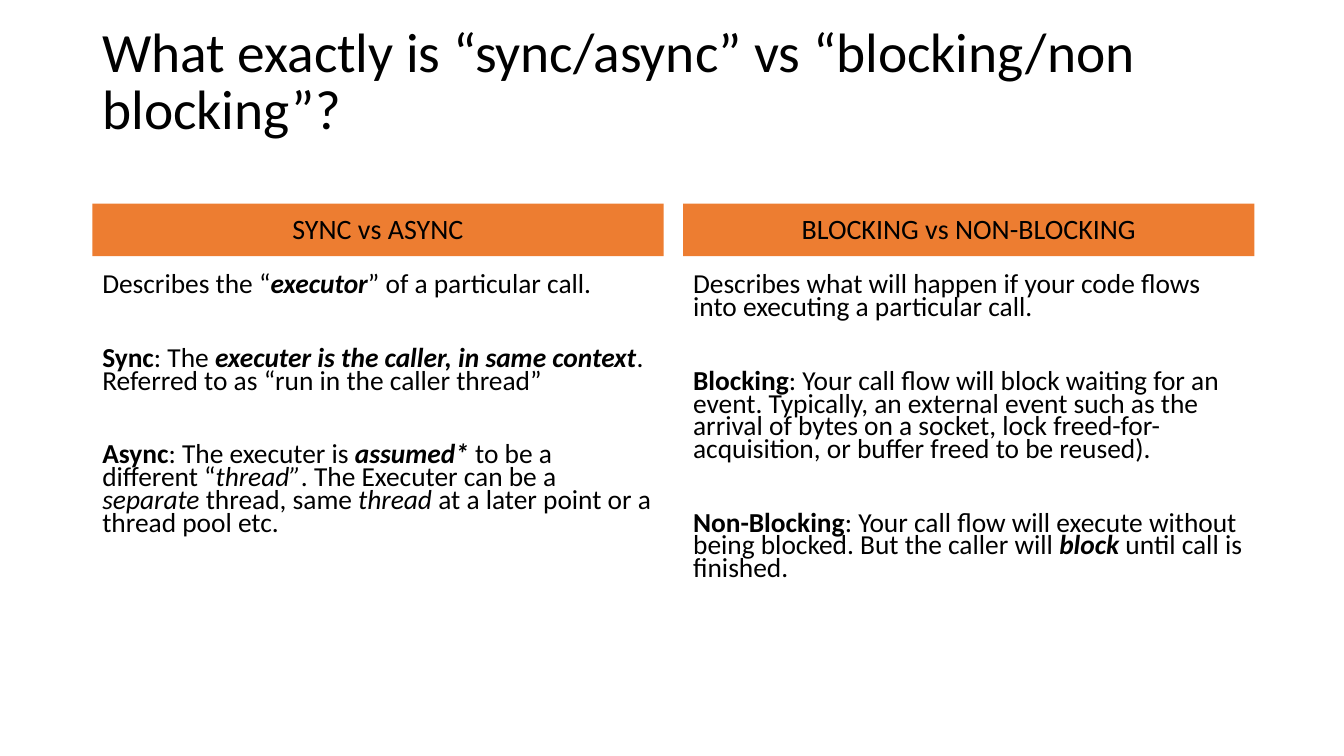
from dataclasses import dataclass

from pptx import Presentation
from pptx.dml.color import RGBColor
from pptx.enum.shapes import MSO_SHAPE
from pptx.enum.text import MSO_ANCHOR, PP_ALIGN
from pptx.shapes.autoshape import Shape
from pptx.slide import Slide
from pptx.util import Pt

COLORS = {"text": "000000", "header": "ED7D31"}
LEFT, COL_W, GAP = 66, 408, 14
HEADER_TOP, HEADER_H = 145.5, 37.5
BODY_TOP, BODY_H = 193.5, 238

# Paragraph and font formats
TITLE = {"para": {"line_spacing": 0.86}, "size": 39.6}
HEADER = {"para": {"line_spacing": 0.9, "space_before": Pt(10),
                   "alignment": PP_ALIGN.CENTER}, "size": 20}
BODY = {"para": {"line_spacing": 0.69}, "size": 19.6}
FIRST_GAP, PARA_GAP = 10, 36.4

# Each run is a text and its style letters: b for bold, i for italic
Run = tuple[str, str]


@dataclass
class Column:
    header: str
    paragraphs: list[list[Run]]


COLUMNS = [
    Column("SYNC vs ASYNC", [
        [("Describes the “", ""), ("executor", "bi"), ("” of a particular call.", "")],
        [("Sync", "b"), (": The ", ""), ("executer is the caller, in same context", "bi"),
         (". Referred to as “run in the caller thread”", "")],
        [("Async", "b"), (": The executer is ", ""), ("assumed*", "bi"),
         (" to be a different “", ""), ("thread”", "i"), (". The Executer can be a ", ""),
         ("separate ", "i"), ("thread, same ", ""), ("thread", "i"),
         (" at a later point or a thread pool etc.", "")],
    ]),
    Column("BLOCKING vs NON-BLOCKING", [
        [("Describes what will happen if your code flows into executing "
          "a particular call.", "")],
        [("Blocking", "b"),
         (": Your call flow will block waiting for an event. Typically, an external "
          "event such as the arrival of bytes on a socket, lock freed-for- acquisition, "
          "or buffer freed to be reused).", "")],
        [("Non-Blocking", "b"),
         (": Your call flow will execute without being blocked. But the caller will ", ""),
         ("block", "bi"), (" until call is finished.", "")],
    ]),
]


def write(sp: Shape, paragraphs: list[list[Run]], fmt: dict, anchor: MSO_ANCHOR) -> None:
    tf = sp.text_frame
    tf.word_wrap = True
    tf.vertical_anchor = anchor
    for n, runs in enumerate(paragraphs):
        p = tf.add_paragraph() if n else tf.paragraphs[0]
        p.space_before = Pt(PARA_GAP if n else FIRST_GAP)
        for name, value in fmt["para"].items():
            setattr(p, name, value)
        for text, style in runs:
            r = p.add_run()
            r.text = text
            font = {"name": "Calibri", "size": Pt(fmt["size"]),
                    "bold": "b" in style, "italic": "i" in style}
            for name, value in font.items():
                setattr(r.font, name, value)
            r.font.color.rgb = RGBColor.from_string(COLORS["text"])


def add_column(s: Slide, column: Column, left: float) -> None:
    # Header bar
    sp = s.shapes.add_shape(MSO_SHAPE.RECTANGLE, Pt(left), Pt(HEADER_TOP),
                            Pt(COL_W), Pt(HEADER_H))
    sp.shadow.inherit = False
    sp.fill.solid()
    sp.fill.fore_color.rgb = RGBColor.from_string(COLORS["header"])
    sp.line.fill.background()
    write(sp, [[(column.header, "")]], HEADER, MSO_ANCHOR.MIDDLE)
    # Explanation
    sp = s.shapes.add_textbox(Pt(left), Pt(BODY_TOP), Pt(COL_W), Pt(BODY_H))
    write(sp, column.paragraphs, BODY, MSO_ANCHOR.TOP)


prs = Presentation()
prs.slide_width, prs.slide_height = Pt(960), Pt(540)
s = prs.slides.add_slide(prs.slide_layouts[6])

# Title
title = s.shapes.add_textbox(Pt(LEFT), Pt(8), Pt(828), Pt(104))
write(title, [[("What exactly is “sync/async” vs “blocking/non blocking”?", "")]],
      TITLE, MSO_ANCHOR.MIDDLE)

# Columns
for i, column in enumerate(COLUMNS):
    add_column(s, column, LEFT + i * (COL_W + GAP))

prs.save("out.pptx")
